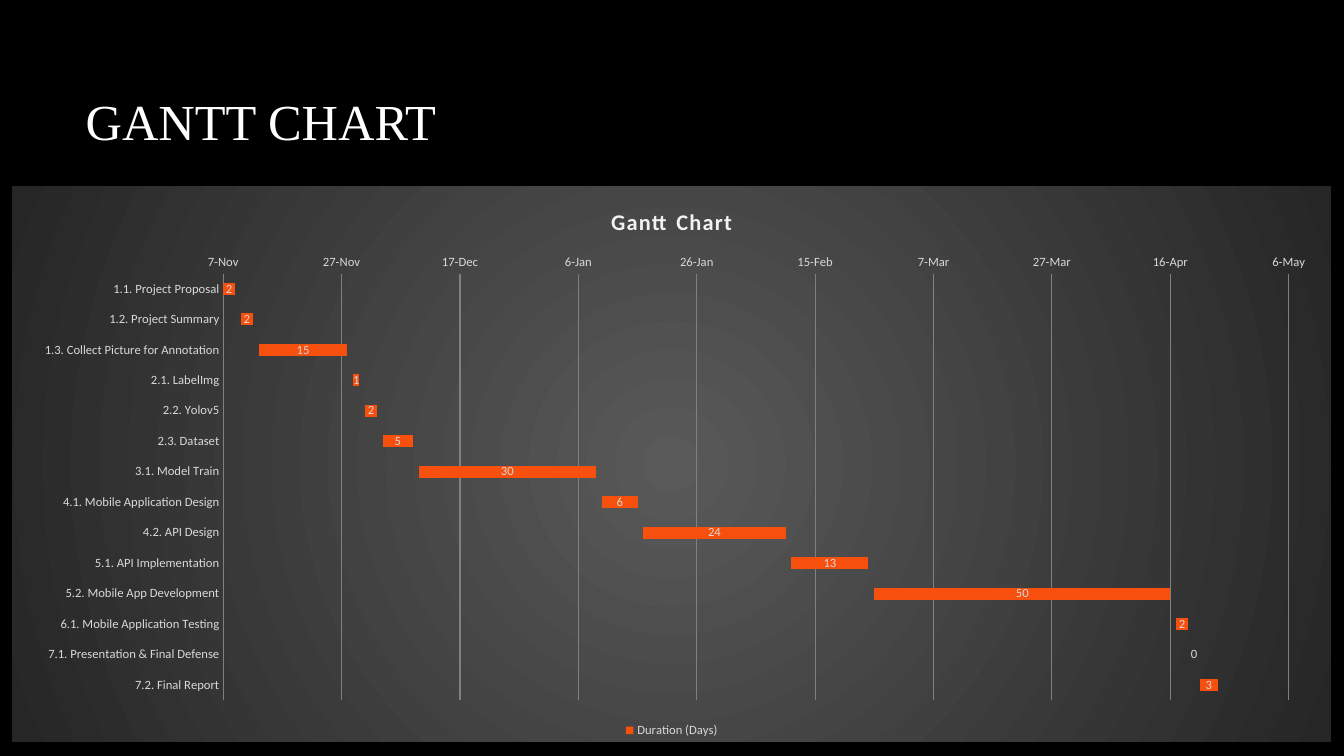
from lxml import etree
from pptx import Presentation
from pptx.chart.data import CategoryChartData
from pptx.dml.color import RGBColor
from pptx.enum.chart import (XL_CHART_TYPE, XL_LABEL_POSITION, XL_LEGEND_POSITION,
                             XL_TICK_MARK)
from pptx.enum.text import MSO_ANCHOR, PP_ALIGN
from pptx.oxml import parse_xml
from pptx.oxml.ns import qn
from pptx.util import Inches, Pt

STACKED = XL_CHART_TYPE.BAR_STACKED
CENTER = XL_LABEL_POSITION.CENTER
BOTTOM = XL_LEGEND_POSITION.BOTTOM
NO_TICK = XL_TICK_MARK.NONE
MIDDLE = MSO_ANCHOR.MIDDLE
LEFT = PP_ALIGN.LEFT

COLUMNS, ROWS = 160, 90
FIRST_DAY, DAYS_SHOWN, DAY_STEP = 44142, 180, 20
NAMESPACES = ('xmlns:c="http://schemas.openxmlformats.org/drawingml/2006/chart" '
              'xmlns:a="http://schemas.openxmlformats.org/drawingml/2006/main"')

# Task, start as a day serial, duration in days
TASKS = [
    ("1.1. Project Proposal", 44142, 2),
    ("1.2. Project Summary", 44145, 2),
    ("1.3. Collect Picture for Annotation", 44148, 15),
    ("2.1. LabelImg", 44164, 1),
    ("2.2. Yolov5", 44166, 2),
    ("2.3. Dataset", 44169, 5),
    ("3.1. Model Train", 44175, 30),
    ("4.1. Mobile Application Design", 44206, 6),
    ("4.2. API Design", 44213, 24),
    ("5.1. API Implementation", 44238, 13),
    ("5.2. Mobile App Development", 44252, 50),
    ("6.1. Mobile Application Testing", 44303, 2),
    ("7.1. Presentation & Final Defense", 44306, 0),
    ("7.2. Final Report", 44307, 3),
]


def color(hex_string):
    return RGBColor.from_string(hex_string)


class GanttSlide:
    title_font = "Times New Roman"
    chart_font = "Calibri"
    background = "000000"
    title_color = "FFFFFF"
    heading_color = "F2F2F2"
    label_color = "D9D9D9"
    grid_color = "808080"
    bar_color = "F64F0E"
    panel_colors = ("595959", "262626")

    def __init__(self, presentation):
        self.width = presentation.slide_width
        self.height = presentation.slide_height
        self.slide = presentation.slides.add_slide(presentation.slide_layouts[5])
        fill = self.slide.background.fill
        fill.solid()
        fill.fore_color.rgb = color(self.background)

    def box(self, column, row, columns, rows):
        """Turn grid units into left, top, width and height."""
        return (round(self.width * column / COLUMNS), round(self.height * row / ROWS),
                round(self.width * columns / COLUMNS), round(self.height * rows / ROWS))

    def style_font(self, font, name, size, hex_string, bold=False):
        font.name, font.size, font.bold = name, Pt(size), bold
        font.color.rgb = color(hex_string)

    def add_run(self, paragraph, text, name, size, hex_string, bold=False):
        run = paragraph.add_run()
        run.text = text
        self.style_font(run.font, name, size, hex_string, bold)
        return run

    def title(self, text, *place):
        shape = self.slide.shapes.title
        shape.left, shape.top, shape.width, shape.height = self.box(*place)
        shape.text_frame.vertical_anchor = MIDDLE
        paragraph = shape.text_frame.paragraphs[0]
        paragraph.alignment = LEFT
        self.add_run(paragraph, text, self.title_font, 36, self.title_color)

    def gantt(self, heading, tasks, *place):
        names, starts, durations = zip(*tasks)
        data = CategoryChartData()
        data.categories = names
        data.add_series("Start Date", starts)
        data.add_series("Duration (Days)", durations)
        chart = self.slide.shapes.add_chart(STACKED, *self.box(*place), data).chart
        self.style_font(chart.font, self.chart_font, 10, self.title_color)
        self.chart_heading(chart, heading)
        self.axes(chart)
        self.bars(chart.plots[0])
        self.legend(chart)
        self.plot_area(chart, x=0.16, y=0.157, w=0.808, h=0.769)
        self.panel(chart)

    def chart_heading(self, chart, heading):
        paragraph = chart.chart_title.text_frame.paragraphs[0]
        run = self.add_run(paragraph, heading, self.chart_font, 16,
                           self.heading_color, bold=True)
        run.font._element.set("spc", "100")
        chart.chart_title.include_in_layout = False

    def axes(self, chart):
        for axis in (chart.category_axis, chart.value_axis):
            axis.major_tick_mark = axis.minor_tick_mark = NO_TICK
            axis.format.line.fill.background()
            self.style_font(axis.tick_labels.font, self.chart_font, 9, self.label_color)
        chart.category_axis.reverse_order = True
        days = chart.value_axis
        days.minimum_scale = FIRST_DAY
        days.maximum_scale = FIRST_DAY + DAYS_SHOWN
        days.major_unit = DAY_STEP
        days.tick_labels.number_format = r"[$-409]d\-mmm;@"
        days.tick_labels.number_format_is_linked = False
        days.major_gridlines.format.line.color.rgb = color(self.grid_color)
        days.major_gridlines.format.line.width = Pt(0.75)

    def bars(self, plot):
        plot.gap_width, plot.overlap, plot.vary_by_categories = 150, 100, False
        start, duration = plot.series
        start.format.fill.background()
        start.format.line.fill.background()
        duration.format.fill.solid()
        duration.format.fill.fore_color.rgb = color(self.bar_color)
        labels = duration.data_labels
        labels.show_value = True
        labels.position = CENTER
        self.style_font(labels.font, self.chart_font, 9, self.label_color)

    def legend(self, chart):
        """Legend below the plot that names only the start dates."""
        chart.has_legend = True
        chart.legend.position = BOTTOM
        chart.legend.include_in_layout = False
        self.style_font(chart.legend.font, self.chart_font, 9, self.label_color)
        position = chart.element.find(".//" + qn("c:legendPos"))
        position.addnext(parse_xml(f'<c:legendEntry {NAMESPACES}><c:idx val="1"/>'
                                   '<c:delete val="1"/></c:legendEntry>'))

    def plot_area(self, chart, **shares):
        """Fix the inner plot area, in shares of the chart's size."""
        area = chart.element.find(".//" + qn("c:plotArea"))
        for old_layout in area.findall(qn("c:layout")):
            area.remove(old_layout)
        layout = etree.Element(qn("c:layout"))
        manual = etree.SubElement(layout, qn("c:manualLayout"))
        settings = {"layoutTarget": "inner", "xMode": "edge", "yMode": "edge", **shares}
        for name, value in settings.items():
            etree.SubElement(manual, qn("c:" + name)).set("val", str(value))
        area.insert(0, layout)

    def panel(self, chart):
        """Fill the chart with a gradient that darkens from its centre."""
        inner, outer = self.panel_colors
        chart.element.find(qn("c:chart")).addnext(parse_xml(
            f'<c:spPr {NAMESPACES}><a:gradFill><a:gsLst>'
            f'<a:gs pos="0"><a:srgbClr val="{inner}"/></a:gs>'
            f'<a:gs pos="100000"><a:srgbClr val="{outer}"/></a:gs></a:gsLst>'
            '<a:path path="circle"><a:fillToRect l="50000" t="50000" r="50000" b="50000"/>'
            '</a:path></a:gradFill><a:ln><a:noFill/></a:ln></c:spPr>'))


def main():
    presentation = Presentation()
    presentation.slide_width, presentation.slide_height = Inches(13.33), Inches(7.5)
    slide = GanttSlide(presentation)
    slide.title("GANTT CHART", 9, 8, 133, 12.75)
    slide.gantt("Gantt Chart", TASKS, 1.45, 22.2, 157, 66.1)
    presentation.save("out.pptx")


if __name__ == "__main__":
    main()
